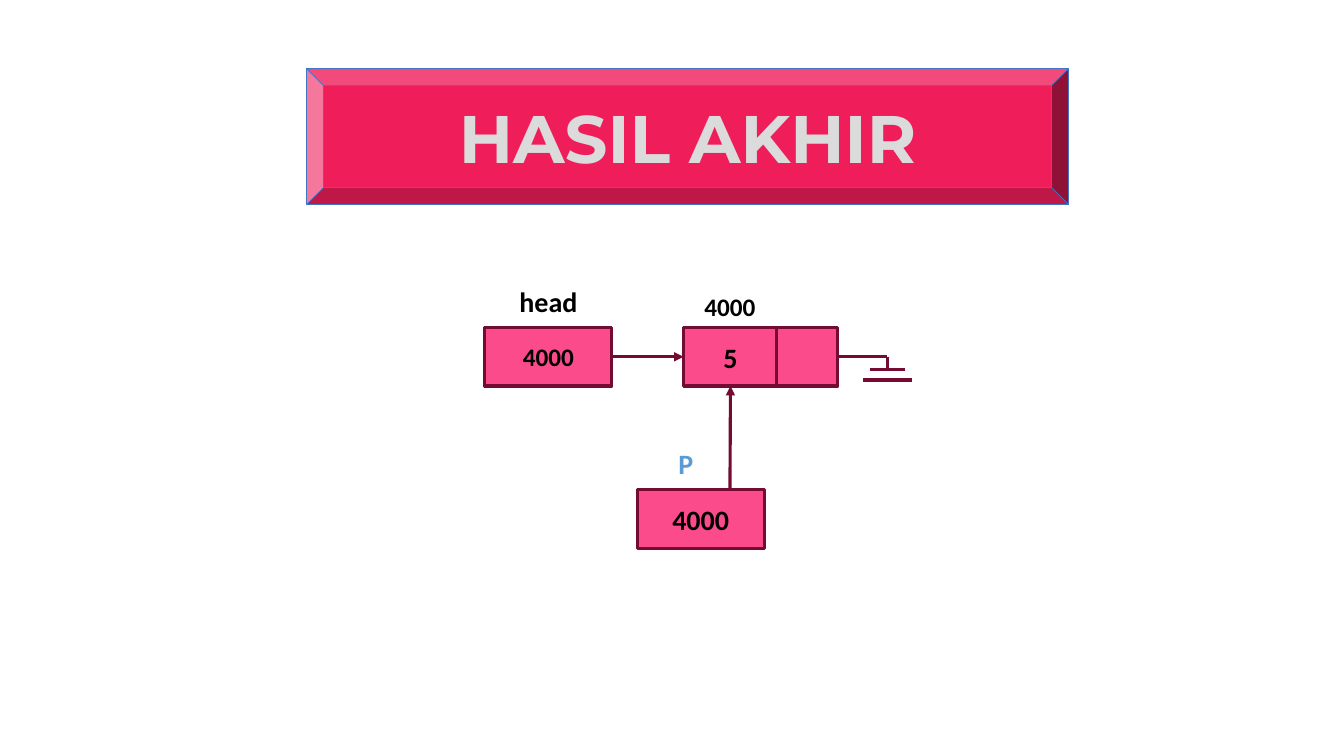
from lxml.etree import SubElement
from pptx import Presentation
from pptx.dml.color import RGBColor
from pptx.enum.shapes import MSO_CONNECTOR, MSO_SHAPE
from pptx.enum.text import MSO_ANCHOR, PP_ALIGN
from pptx.oxml.ns import qn
from pptx.util import Inches, Pt

COLOURS = {
    "banner": "EF1D59", "banner_line": "4472C4", "title": "DBDBDB",
    "cell": "FB4B8A", "edge": "730B33", "text": "000000", "pointer": "5B9BD5",
}
TOP, LEFT, BOTTOM, RIGHT = range(4)
CELL_HEIGHT = 0.58
POINTER_WIDTH = 1.26


def colour(name):
    """Return the named palette colour."""
    return RGBColor.from_string(COLOURS[name])


def write(shape, text, size=20, font="Calibri", ink="text",
          align=PP_ALIGN.CENTER, anchor=MSO_ANCHOR.MIDDLE, wrap=True, spacing=None):
    """Put one line of bold text in a shape."""
    frame = shape.text_frame
    frame.word_wrap = wrap
    frame.vertical_anchor = anchor
    para = frame.paragraphs[0]
    para.alignment = align
    para.line_spacing = spacing
    span = para.add_run()
    span.text = text
    span.font.size = Pt(size)
    span.font.name = font
    span.font.bold = True
    span.font.color.rgb = colour(ink)


def add_box(page, left, top, width, height, kind=MSO_SHAPE.RECTANGLE,
            fill="cell", line="edge", weight=2.25):
    """Add a filled and outlined shape."""
    box = page.shapes.add_shape(kind, Inches(left), Inches(top), Inches(width), Inches(height))
    box.shadow.inherit = False
    box.fill.solid()
    box.fill.fore_color.rgb = colour(fill)
    box.line.color.rgb = colour(line)
    box.line.width = Pt(weight)
    return box


def add_label(page, left, top, width, height, text, **style):
    """Add a text box with its text at the top."""
    label = page.shapes.add_textbox(Inches(left), Inches(top), Inches(width), Inches(height))
    write(label, text, anchor=MSO_ANCHOR.TOP, **style)


def add_line(page, start, end, arrow=False):
    """Add a straight line, with an arrowhead at its end if asked."""
    line = page.shapes.add_connector(
        MSO_CONNECTOR.STRAIGHT, *(Inches(value) for value in (*start, *end)))
    line.line.color.rgb = colour("edge")
    line.line.width = Pt(2.25)
    if arrow:
        SubElement(line.line._get_or_add_ln(), qn("a:tailEnd"), type="triangle")
    SubElement(line._element.spPr, qn("a:effectLst"))
    return line


def add_banner(page, left, top, width, height):
    """Add the bevelled title banner."""
    banner = add_box(page, left, top, width, height, kind=MSO_SHAPE.BEVEL,
                     fill="banner", line="banner_line", weight=0.5)
    write(banner, "HASIL AKHIR", size=48, font="Montserrat", ink="title")


def add_head(page, left, top):
    """Add the head pointer with its name above and return its cell."""
    cell = add_box(page, left, top, POINTER_WIDTH, CELL_HEIGHT)
    write(cell, "4000", size=18)
    add_label(page, left + 0.03, top - 0.44, 1.2, 0.44, "head", spacing=0.9)
    return cell


def add_node(page, left, top):
    """Add the list node with its address and return its data and link cells."""
    data = add_box(page, left, top, 0.93, CELL_HEIGHT)
    write(data, "5")
    link = add_box(page, left + 0.92, top, 0.61, CELL_HEIGHT)
    add_label(page, left + 0.08, top - 0.41, 0.76, 0.4, "4000", size=18, wrap=False)
    return data, link


def add_null(page, link, left, top):
    """Add the ground symbol that ends the list, wired to the link cell."""
    stem = left + 0.49
    wire = add_line(page, (left, top), (stem, top))
    wire.begin_connect(link, RIGHT)
    add_line(page, (stem, top), (stem, top + 0.13))
    for drop, width in ((0.13, 0.35), (0.23, 0.49)):
        add_line(page, (stem - width / 2, top + drop), (stem + width / 2, top + drop))


def add_pointer(page, data, left, top):
    """Add the pointer P with its arrow up to the data cell."""
    cell = add_box(page, left, top, POINTER_WIDTH, CELL_HEIGHT)
    write(cell, "4000")
    add_label(page, left + 0.31, top - 0.44, 0.65, 0.44, "P",
              ink="pointer", align=PP_ALIGN.LEFT, spacing=0.9)
    arrow = add_line(page, (left + 0.92, top), (left + 0.92, top - 1.03), arrow=True)
    arrow.end_connect(data, BOTTOM)


def add_list(page, left, top):
    """Add the linked list diagram from head to ground."""
    middle = top + CELL_HEIGHT / 2
    node_left = left + 1.97
    head = add_head(page, left, top)
    data, link = add_node(page, node_left, top)
    add_null(page, link, node_left + 1.53, middle)
    add_pointer(page, data, left + 1.51, top + 1.61)
    arrow = add_line(page, (left + POINTER_WIDTH, middle), (node_left, middle), arrow=True)
    arrow.begin_connect(head, RIGHT)
    arrow.end_connect(data, LEFT)


def main():
    """Build the slide and save the deck."""
    deck = Presentation()
    deck.slide_width = Inches(13.33)
    deck.slide_height = Inches(7.5)
    page = deck.slides.add_slide(deck.slide_layouts[6])
    add_banner(page, 3.04, 0.68, 7.56, 1.35)
    add_list(page, 4.81, 3.25)
    deck.save("out.pptx")


if __name__ == "__main__":
    main()
